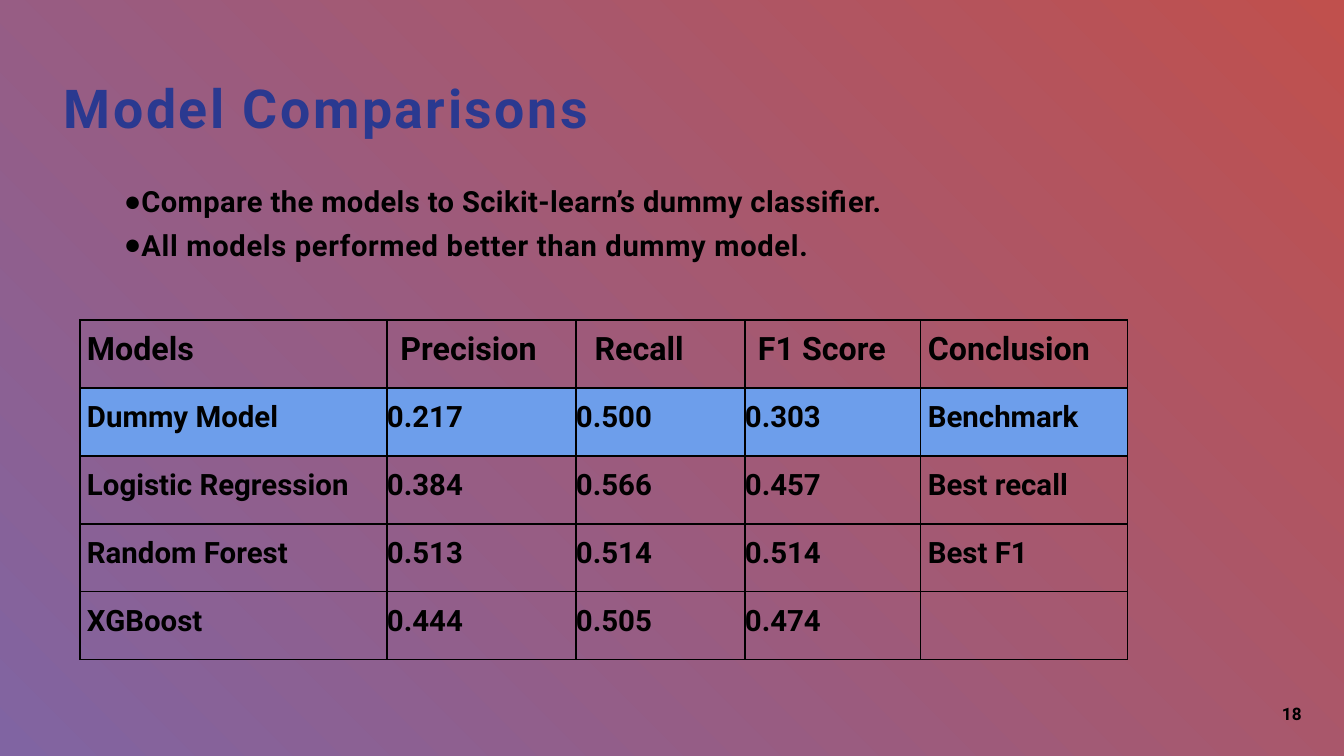
from lxml import etree
from pptx import Presentation
from pptx import util as u
from pptx.dml.color import RGBColor
from pptx.enum import text as t
from pptx.oxml import ns

PX = 12192000 / 1344
COLORS = {"red": "C0504D", "purple": "8064A2", "navy": "2A3990",
          "black": "000000", "blue": "6D9EEB"}


def px(length):
    return u.Emu(round(length * PX))


def write(paragraph, content, size, leading, color="black", before=0, after=0,
          left=0, first=0, tracking=0, bullet=None, align=t.PP_ALIGN.LEFT):
    paragraph.alignment = align
    paragraph.line_spacing = u.Pt(leading)
    paragraph.space_before = u.Pt(before)
    paragraph.space_after = u.Pt(after)
    properties = paragraph._p.get_or_add_pPr()
    properties.set("marL", str(px(left)))
    properties.set("indent", str(px(first)))
    if bullet:
        etree.SubElement(properties, ns.qn("a:buChar"), char=bullet)
    else:
        etree.SubElement(properties, ns.qn("a:buNone"))
    run = paragraph.add_run()
    run.text = content
    run.font.name = "Roboto"
    run.font.size = u.Pt(size)
    run.font.bold = True
    run.font.color.rgb = RGBColor.from_string(COLORS[color])
    if tracking:
        run._r.get_or_add_rPr().set("spc", str(round(tracking * 100)))


presentation = Presentation()
presentation.slide_width = px(1344)
presentation.slide_height = px(756)
slide = presentation.slides.add_slide(presentation.slide_layouts[1])

background = slide.background.fill
background.gradient()
background.gradient_angle = 225
for stop, name, position in zip(background.gradient_stops, ("red", "purple"), (0, 1)):
    stop.color.rgb = RGBColor.from_string(COLORS[name])
    stop.position = position

title, body = slide.placeholders
page_number = slide.shapes.add_textbox(0, 0, 0, 0)
for shape, box, inset in (
    (title, (57, 73, 1075, 88), 3),
    (body, (57, 160, 1075, 158), 23),
    (page_number, (1282, 703, 37, 21), 0),
):
    shape.left, shape.top, shape.width, shape.height = map(px, box)
    frame = shape.text_frame
    frame.auto_size = t.MSO_AUTO_SIZE.NONE
    frame.word_wrap = True
    frame.vertical_anchor = t.MSO_ANCHOR.TOP
    frame.margin_left = frame.margin_right = frame.margin_bottom = 0
    frame.margin_top = px(inset)

write(title.text_frame.paragraphs[0], "Model Comparisons", size=38.3, leading=45.3,
      color="navy", after=15.3, left=7, tracking=1.8)
bullet_format = dict(size=20.8, leading=25.3, left=20, first=47, bullet="●")
write(body.text_frame.paragraphs[0], "Compare the models to Scikit-learn’s dummy classifier.",
      tracking=0.3, **bullet_format)
write(body.text_frame.add_paragraph(), "All models performed better than dummy model.",
      tracking=0.5, before=5.7, after=39.6, **bullet_format)
write(page_number.text_frame.paragraphs[0], "18", size=12.3, leading=14.7)

ROWS = [
    ("Models", "Precision", "Recall", "F1 Score", "Conclusion"),
    ("Dummy Model", "0.217", "0.500", "0.303", "Benchmark"),
    ("Logistic Regression", "0.384", "0.566", "0.457", "Best recall"),
    ("Random Forest", "0.513", "0.514", "0.514", "Best F1"),
    ("XGBoost", "0.444", "0.505", "0.474", ""),
]
COLUMN_WIDTHS = (307, 189, 169, 176, 207)
HEADER_INSETS = (0, 39, 61, 35, 0)
ROW_HEIGHT = 68

table = slide.shapes.add_table(
    len(ROWS), len(COLUMN_WIDTHS), px(80), px(320),
    px(sum(COLUMN_WIDTHS)), px(ROW_HEIGHT * len(ROWS))).table
table.first_row = table.horz_banding = False
for column, width in zip(table.columns, COLUMN_WIDTHS):
    column.width = px(width)

for row_index, values in enumerate(ROWS):
    table.rows[row_index].height = px(ROW_HEIGHT)
    for column_index, value in enumerate(values):
        cell = table.cell(row_index, column_index)
        cell.vertical_anchor = t.MSO_ANCHOR.MIDDLE
        cell.margin_left = cell.margin_right = cell.margin_top = cell.margin_bottom = 0
        cell_properties = cell._tc.get_or_add_tcPr()
        for side in ("lnL", "lnR", "lnT", "lnB"):
            line = etree.SubElement(cell_properties, ns.qn("a:" + side), w=str(u.Pt(0.95)))
            line_fill = etree.SubElement(line, ns.qn("a:solidFill"))
            etree.SubElement(line_fill, ns.qn("a:srgbClr"), val=COLORS["black"])
        if row_index == 1:
            cell.fill.solid()
            cell.fill.fore_color.rgb = RGBColor.from_string(COLORS["blue"])
        else:
            cell.fill.background()
        if not value:
            continue
        header = row_index == 0
        numeric = 0 < column_index < 4
        if header:
            cell.margin_right = px(HEADER_INSETS[column_index])
        write(cell.text_frame.paragraphs[0], value,
              size=23 if header else 21, leading=21 if header else 18,
              before=8.7 if header else 11.3, after=7.3, left=0 if numeric else 7,
              align=t.PP_ALIGN.RIGHT if header and numeric else t.PP_ALIGN.LEFT)

presentation.save("out.pptx")
